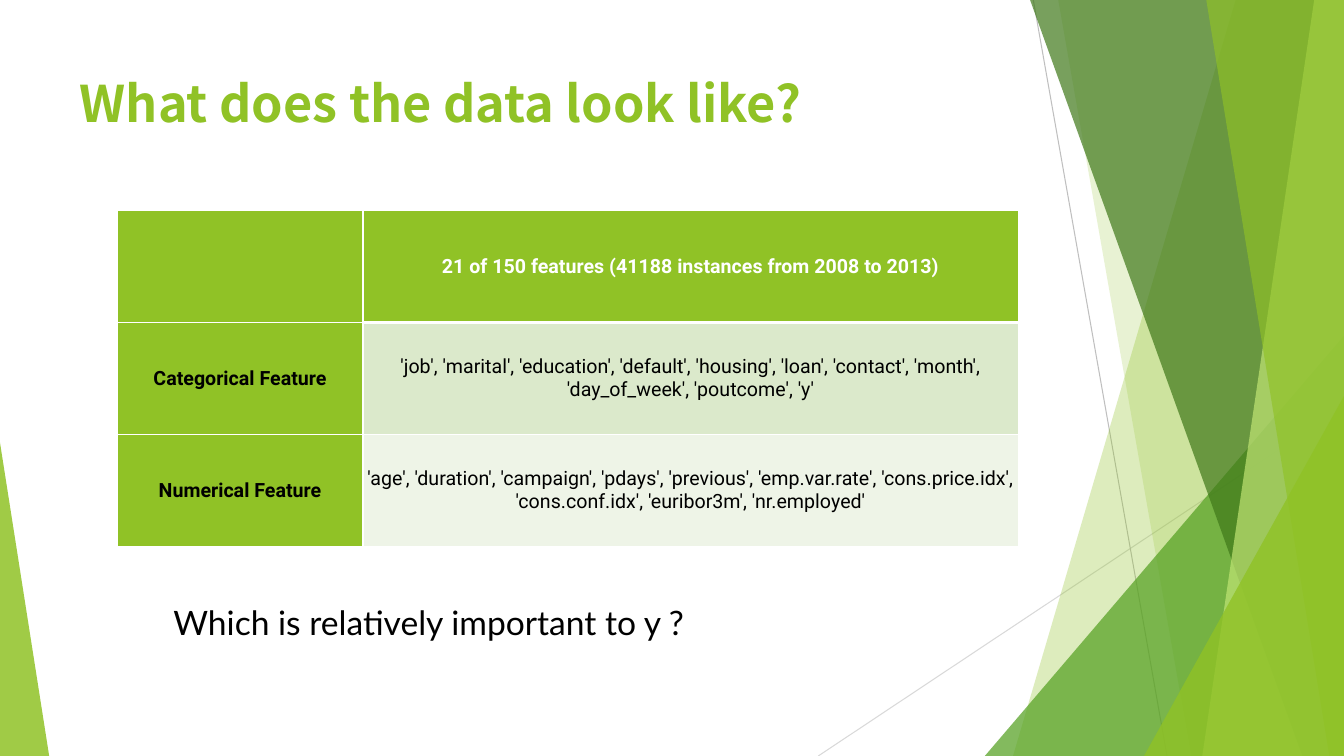
from lxml import etree
from pptx import Presentation
from pptx import util as u
from pptx.dml.color import RGBColor
from pptx.enum import shapes, text
from pptx.oxml import ns

WIDTH, HEIGHT = 33.87, 19.05
GREEN = RGBColor(0x90, 0xC2, 0x26)
MID_GREEN = RGBColor(0x54, 0xA0, 0x21)
DARK_GREEN = RGBColor(0x3F, 0x78, 0x19)
LIGHT_GREEN = RGBColor(0xC0, 0xE4, 0x74)
ROW_TINT = RGBColor(0xDB, 0xE9, 0xCB)
ROW_PALE = RGBColor(0xEE, 0xF4, 0xE7)
GREY = RGBColor(0xBF, 0xBF, 0xBF)
LIGHT_GREY = RGBColor(0xD9, 0xD9, 0xD9)
WHITE = RGBColor(0xFF, 0xFF, 0xFF)
BLACK = RGBColor(0, 0, 0)

RIGHT_TOP, RIGHT_BOTTOM = (WIDTH, 0), (WIDTH, HEIGHT)
FACETS = [
    ([(31.14, 0), (25.53, HEIGHT), RIGHT_BOTTOM, RIGHT_TOP], GREEN, 30),
    ([(26.67, 0), (30.02, HEIGHT), RIGHT_BOTTOM, RIGHT_TOP], GREEN, 20),
    ([(24.82, HEIGHT), (WIDTH, 8.46), RIGHT_BOTTOM], MID_GREEN, 72),
    ([(25.96, 0), (32.82, HEIGHT), RIGHT_BOTTOM, RIGHT_TOP], DARK_GREEN, 70),
    ([(33.12, 0), (30.3, HEIGHT), RIGHT_BOTTOM, RIGHT_TOP], LIGHT_GREEN, 70),
    ([(30.4, 0), (33.5, HEIGHT), RIGHT_BOTTOM, RIGHT_TOP], GREEN, 65),
    ([(28.83, HEIGHT), (WIDTH, 9.98), RIGHT_BOTTOM], GREEN, 80),
    ([(0, 11.15), (1.24, HEIGHT), (0, HEIGHT)], GREEN, 85),
]
FEATURES = [
    ("", "21 of 150 features (41188 instances from 2008 to 2013)", GREEN),
    ("Categorical Feature",
     "'job', 'marital', 'education', 'default', 'housing', 'loan', 'contact', "
     "'month', 'day_of_week', 'poutcome', 'y'", ROW_TINT),
    ("Numerical Feature",
     "'age', 'duration', 'campaign', 'pdays', 'previous', 'emp.var.rate', "
     "'cons.price.idx', 'cons.conf.idx', 'euribor3m', 'nr.employed'", ROW_PALE),
]


def write(frame, wording, font, size, color, bold=False, align=text.PP_ALIGN.LEFT):
    paragraph = frame.paragraphs[0]
    paragraph.alignment = align
    if not wording:
        return
    run = paragraph.add_run()
    run.text = wording
    run.font.name = font
    run.font.size = u.Pt(size)
    run.font.bold = bold
    run.font.color.rgb = color


class SlideBuilder:
    def __init__(self, slide):
        self.slide = slide
        self.title_font = "Noto Sans CJK SC"
        self.table_font = "Roboto"
        self.body_font = "Lato"
        self.inset = u.Cm(0.13)

    def line(self, start, end, color):
        points = [u.Cm(value) for value in (*start, *end)]
        connector = self.slide.shapes.add_connector(shapes.MSO_CONNECTOR.STRAIGHT, *points)
        connector.line.color.rgb = color
        connector.line.width = u.Pt(0.75)
        etree.SubElement(connector._element.spPr, ns.qn("a:effectLst"))

    def facet(self, corners, color, opacity):
        points = [(u.Cm(x), u.Cm(y)) for x, y in corners]
        builder = self.slide.shapes.build_freeform(*points[0])
        builder.add_line_segments(points[1:], close=True)
        shape = builder.convert_to_shape()
        shape.shadow.inherit = False
        shape.line.fill.background()
        shape.fill.solid()
        shape.fill.fore_color.rgb = color
        fill_color = shape._element.spPr.find(".//" + ns.qn("a:srgbClr"))
        etree.SubElement(fill_color, ns.qn("a:alpha"), val=str(opacity * 1000))

    def text_box(self, box, wording, wrap=True, **style):
        shape = self.slide.shapes.add_textbox(*map(u.Cm, box))
        frame = shape.text_frame
        frame.word_wrap = wrap
        frame.margin_left = frame.margin_right = self.inset
        frame.margin_top = frame.margin_bottom = self.inset
        write(frame, wording, **style)

    def borders(self, cell, **widths):
        properties = cell._tc.get_or_add_tcPr()
        for side in "LRTB":
            width = u.Pt(widths.get(side, 1))
            border = etree.SubElement(properties, ns.qn(f"a:ln{side}"), w=str(width))
            fill = etree.SubElement(border, ns.qn("a:solidFill"))
            etree.SubElement(fill, ns.qn("a:srgbClr"), val=str(WHITE))

    def cell(self, cell, wording, fill, color, bold, **border_widths):
        self.borders(cell, **border_widths)
        cell.fill.solid()
        cell.fill.fore_color.rgb = fill
        cell.vertical_anchor = text.MSO_ANCHOR.MIDDLE
        cell.margin_left = cell.margin_right = cell.margin_top = cell.margin_bottom = 0
        write(cell.text_frame, wording, self.table_font, 14, color, bold,
              text.PP_ALIGN.CENTER)

    def table(self, left, top, widths, row_height, rows):
        box = (left, top, sum(widths), row_height * len(rows))
        table = self.slide.shapes.add_table(
            len(rows), len(widths), *map(u.Cm, box)).table
        table.first_row = table.horz_banding = False
        for column, width in zip(table.columns, widths):
            column.width = u.Cm(width)
        for index, (label, features, fill) in enumerate(rows):
            header = index == 0
            table.rows[index].height = u.Cm(row_height)
            self.cell(table.cell(index, 0), label, GREEN, BLACK, True)
            self.cell(table.cell(index, 1), features, fill,
                      WHITE if header else BLACK, header,
                      T=3 if index == 1 else 1, B=3 if header else 1)


def main():
    presentation = Presentation()
    presentation.slide_width = u.Cm(WIDTH)
    presentation.slide_height = u.Cm(HEIGHT)
    builder = SlideBuilder(presentation.slides.add_slide(presentation.slide_layouts[6]))
    builder.line((20.62, HEIGHT), (WIDTH, 10.24), LIGHT_GREY)
    builder.line((26.04, 0), (29.41, HEIGHT), GREY)
    for corners, color, opacity in FACETS:
        builder.facet(corners, color, opacity)
    builder.text_box((1.88, 1.7, 23.88, 3.66), "What does the data look like?",
                     font=builder.title_font, size=36, color=GREEN, bold=True)
    builder.table(2.95, 5.31, (6.2, 16.51), 2.82, FEATURES)
    builder.text_box((4.24, 15.04, 13.61, 1.24), "Which is relatively important to y ?",
                     wrap=False, font=builder.body_font, size=24, color=BLACK)
    presentation.save("out.pptx")


if __name__ == "__main__":
    main()
